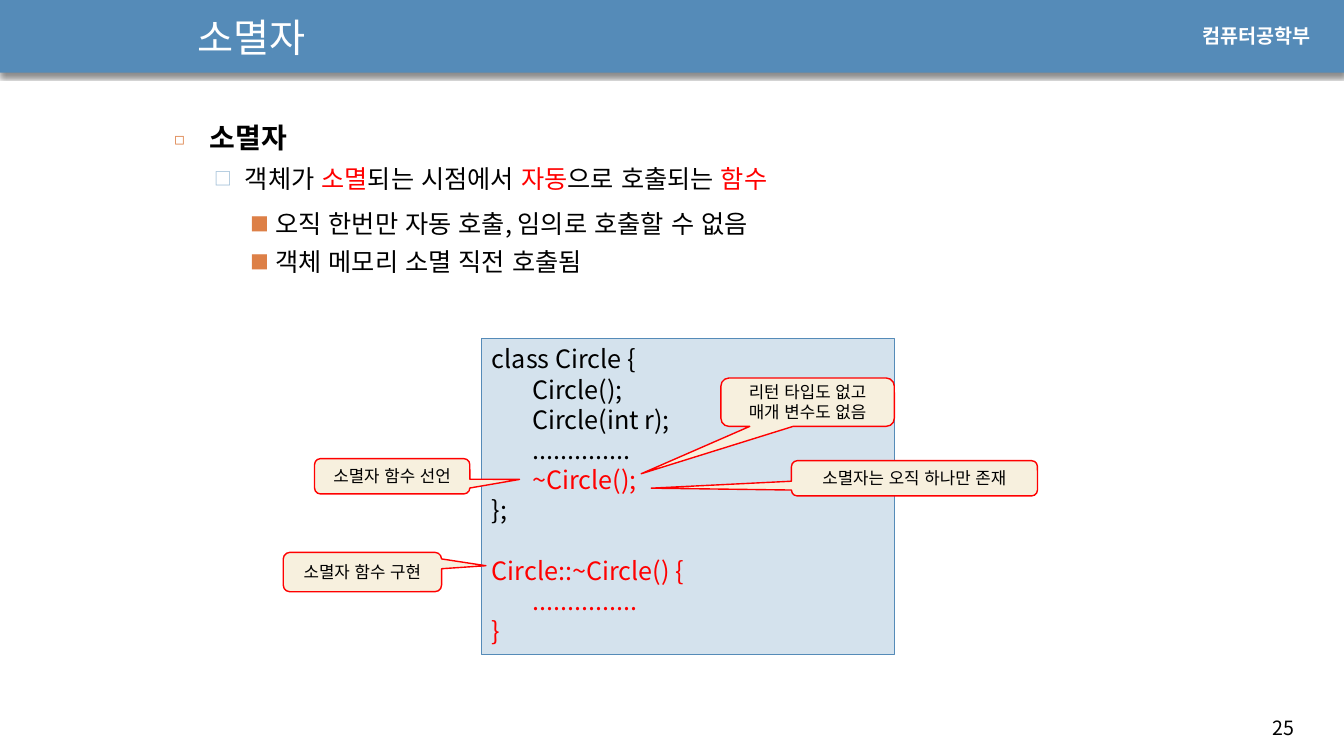
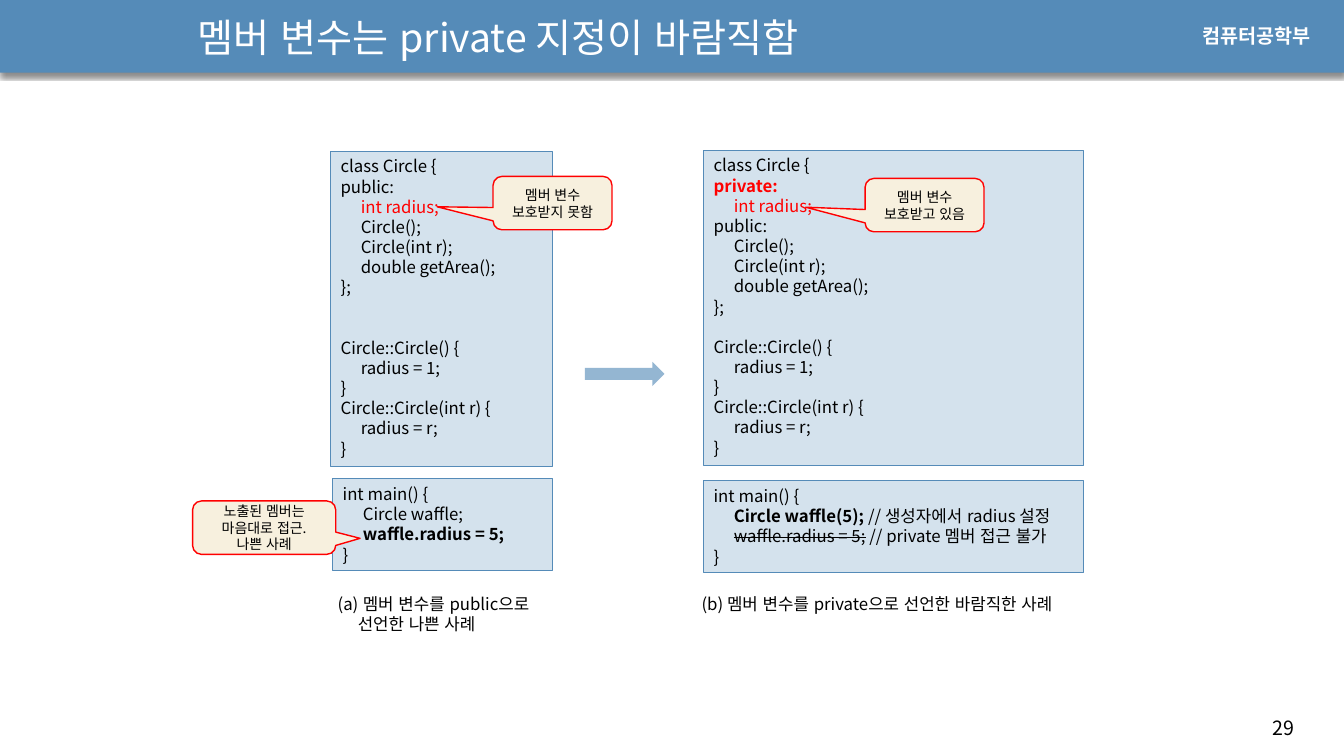
import dataclasses

import lxml.etree
import pptx
import pptx.dml.color
import pptx.enum.lang
import pptx.enum.shapes
import pptx.enum.text
import pptx.oxml.ns
import pptx.util

Inches = pptx.util.Inches
Pt = pptx.util.Pt
qn = pptx.oxml.ns.qn
SHAPE = pptx.enum.shapes.MSO_SHAPE
ALIGN = pptx.enum.text.PP_ALIGN
ANCHOR = pptx.enum.text.MSO_ANCHOR


@dataclasses.dataclass(frozen=True)
class Theme:
    font: str = "Noto Sans CJK KR"
    label_font: str = "Arial"
    band: str = "558BB8"
    code_fill: str = "D4E2ED"
    callout_fill: str = "F7F0DE"
    arrow: str = "94B6D2"
    bullet: str = "DD8047"
    red: str = "FF0000"
    black: str = "000000"
    white: str = "FFFFFF"
    title_size: int = 28
    heading_size: int = 20
    body_size: int = 18
    label_size: int = 14
    small_size: int = 12
    note_size: int = 10
    line_height: float = 1.2
    code_indent: float = 0.2


theme = Theme()
RED = {"color": theme.red}
BOLD = {"bold": True}


def add_text(paragraph, text, size, color=theme.black, bold=False, strike=False,
             font=theme.font, align=ALIGN.LEFT, before=0, after=0):
    """Append one formatted run and set the spacing of its paragraph."""
    paragraph.alignment = align
    paragraph.line_spacing = Pt(size * theme.line_height)
    paragraph.space_before = Pt(before)
    paragraph.space_after = Pt(after)
    run = paragraph.add_run()
    run.text = text
    run.font.size = Pt(size)
    run.font.bold = bold
    run.font.name = font
    run.font.language_id = pptx.enum.lang.MSO_LANGUAGE_ID.KOREAN
    run.font.color.rgb = pptx.dml.color.RGBColor.from_string(color)
    properties = run.font._element
    lxml.etree.SubElement(properties, qn("a:ea"), typeface=theme.font)
    if strike:
        properties.set("strike", "sngStrike")


def add_box(slide, kind, place, lines=(), size=theme.small_size, fill=None, line=None,
            line_width=0.75, anchor=ANCHOR.TOP, pointer=(), **text_format):
    """Add a shape with text. A line is a string or a list of (text, format) runs;
    leading tabs indent it and an empty line becomes space before the next one."""
    shape = slide.shapes.add_shape(kind, *map(Inches, place))
    shape.shadow.inherit = False
    for index, value in enumerate(pointer):
        shape.adjustments[index] = value
    if fill:
        shape.fill.solid()
        shape.fill.fore_color.rgb = pptx.dml.color.RGBColor.from_string(fill)
    else:
        shape.fill.background()
    if line:
        shape.line.color.rgb = pptx.dml.color.RGBColor.from_string(line)
        shape.line.width = Pt(line_width)
    else:
        shape.line.fill.background()
    frame = shape.text_frame
    frame.word_wrap = True
    frame.vertical_anchor = anchor
    gap = 0
    for index, content in enumerate(lines):
        if not content:
            gap += size * theme.line_height
            continue
        runs = [(content, {})] if isinstance(content, str) else content
        paragraph = frame.add_paragraph() if index else frame.paragraphs[0]
        first_text = runs[0][0]
        level = len(first_text) - len(first_text.lstrip("\t"))
        for text, run_format in runs:
            add_text(paragraph, text.lstrip("\t"), size, before=gap,
                     **{**text_format, **run_format})
        if level:
            indent = Inches(level * theme.code_indent)
            paragraph._p.get_or_add_pPr().set("marL", str(indent))
        gap = 0
    return shape


presentation = pptx.Presentation()
presentation.slide_width = Inches(13.33)
presentation.slide_height = Inches(7.5)
master = presentation.slide_master
layouts = presentation.slide_layouts

master_title = master.placeholders[0]
master_title.left, master_title.top = Inches(1.86), Inches(0.05)
master_title.width, master_title.height = Inches(7.4), Inches(0.63)

destructor_slide = presentation.slides.add_slide(layouts.get_by_name("Title and Content"))
private_slide = presentation.slides.add_slide(layouts.get_by_name("Title Only"))

# Band and department name, moved to the master
band = add_box(destructor_slide, SHAPE.RECTANGLE, (0, -0.01, 13.33, 0.73), fill=theme.band)
shadow = lxml.etree.SubElement(
    band.element.spPr.find(qn("a:effectLst")), qn("a:outerShdw"),
    blurRad=str(Pt(3)), dist=str(Pt(2.4)), dir="5400000", rotWithShape="0")
shadow_color = lxml.etree.SubElement(shadow, qn("a:srgbClr"), val=theme.black)
lxml.etree.SubElement(shadow_color, qn("a:alpha"), val="45000")
department = add_box(destructor_slide, SHAPE.RECTANGLE, (11.83, 0.19, 1.37, 0.34),
                     ["컴퓨터공학부"], theme.label_size, color=theme.white, bold=True,
                     font=theme.label_font)
master.shapes.element.insert(2, band.element)
master.shapes.element.append(department.element)

# Titles and page numbers
for slide, title, number in (
    (destructor_slide, "소멸자", "25"),
    (private_slide, "멤버 변수는 private 지정이 바람직함", "29"),
):
    title_frame = slide.shapes.title.text_frame
    title_frame.auto_size = pptx.enum.text.MSO_AUTO_SIZE.NONE
    title_frame.vertical_anchor = ANCHOR.MIDDLE
    add_text(title_frame.paragraphs[0], title, theme.title_size, color=theme.white)
    add_box(slide, SHAPE.RECTANGLE, (12.52, 7.05, 0.71, 0.34), [number], theme.label_size)

# Destructor slide: bullet list
body = destructor_slide.placeholders[1]
body.left, body.top, body.width, body.height = map(Inches, (1.63, 1.15, 11.1, 5.51))
body.text_frame.auto_size = pptx.enum.text.MSO_AUTO_SIZE.NONE
bullet_levels = (
    # margin, hanging indent, symbol, color, percent, text format
    (0.35, 0.35, "◻", theme.bullet, 60,
     {"size": theme.heading_size, "bold": True, "after": 6}),
    (0.7, 0.3, "□", theme.arrow, 70, {"size": theme.body_size, "after": 6}),
    (1, 0.25, "■", theme.bullet, 75, {"size": theme.body_size, "before": 5}),
)
bullet_lines = (
    (0, [("소멸자", {})]),
    (1, [("객체가 ", {}), ("소멸", RED), ("되는 시점에서 ", {}), ("자동", RED),
         ("으로 호출되는 ", {}), ("함수", RED)]),
    (2, [("오직 한번만 자동 호출, 임의로 호출할 수 없음", {})]),
    (2, [("객체 메모리 소멸 직전 호출됨", {})]),
)
for index, (level, runs) in enumerate(bullet_lines):
    margin, hanging, symbol, color, percent, level_format = bullet_levels[level]
    frame = body.text_frame
    paragraph = frame.add_paragraph() if index else frame.paragraphs[0]
    paragraph.level = level
    for text, run_format in runs:
        add_text(paragraph, text, **level_format, **run_format)
    properties = paragraph._p.get_or_add_pPr()
    properties.set("marL", str(Inches(margin)))
    properties.set("indent", str(-Inches(hanging)))
    bullet_color = lxml.etree.SubElement(properties, qn("a:buClr"))
    lxml.etree.SubElement(bullet_color, qn("a:srgbClr"), val=color)
    lxml.etree.SubElement(properties, qn("a:buSzPct"), val=str(percent * 1000))
    lxml.etree.SubElement(properties, qn("a:buFont"), typeface=theme.font)
    lxml.etree.SubElement(properties, qn("a:buChar"), char=symbol)

# Code boxes of both slides
constructors = [
    "Circle::Circle() {",
    "\tradius = 1;",
    "}",
    "Circle::Circle(int r) {",
    "\tradius = r;",
    "}",
]
declarations = ["\tCircle();", "\tCircle(int r);", "\tdouble getArea();", "};"]
code_boxes = (
    (destructor_slide, (4.78, 3.36, 4.09, 3.13), theme.body_size, [
        "class Circle {",
        "\t\tCircle();",
        "\t\tCircle(int r);",
        "\t\t..............",
        [("\t\t~Circle();", RED)],
        "};",
        "",
        [("Circle::~Circle() {", RED)],
        [("\t\t...............", RED)],
        [("}", RED)],
    ]),
    (private_slide, (3.28, 1.5, 2.2, 3.13), theme.small_size, [
        "class Circle {", "public:", [("\tint radius;", RED)],
        *declarations, "", "", *constructors,
    ]),
    (private_slide, (3.3, 4.75, 2.18, 0.91), theme.small_size, [
        "int main() {",
        "\tCircle waffle;",
        [("\twaffle.radius = 5;", BOLD)],
        "}",
    ]),
    (private_slide, (6.98, 1.49, 3.77, 3.13), theme.small_size, [
        "class Circle {", [("private:", {**RED, **BOLD})], [("\tint radius;", RED)],
        "public:", *declarations, "", *constructors,
    ]),
    (private_slide, (6.98, 4.77, 3.77, 0.91), theme.small_size, [
        "int main() {",
        [("\tCircle waffle(5); ", BOLD), ("// 생성자에서 radius 설정", {})],
        [("\twaffle.radius = 5;", {"strike": True}), (" // private 멤버 접근 불가", {})],
        "}",
    ]),
)
for slide, place, size, lines in code_boxes:
    add_box(slide, SHAPE.RECTANGLE, place, lines, size, theme.code_fill, theme.band)

# Callouts of both slides
callouts = (
    (destructor_slide, (7.15, 3.75, 1.72, 0.48), (-0.96, 1.48), theme.small_size,
     ["리턴 타입도 없고 매개 변수도 없음"]),
    (destructor_slide, (3.12, 4.55, 1.54, 0.35), (0.82, 0.09), theme.small_size,
     ["소멸자 함수 선언"]),
    (destructor_slide, (7.85, 4.57, 2.44, 0.35), (-1.07, 0.28), theme.small_size,
     ["소멸자는 오직 하나만 존재"]),
    (destructor_slide, (2.81, 5.48, 1.57, 0.39), (0.78, -0.16), theme.small_size,
     ["소멸자 함수 구현"]),
    (private_slide, (4.89, 1.75, 1.18, 0.53), (-0.97, 0.07), theme.note_size,
     ["멤버 변수", "보호받지 못함"]),
    (private_slide, (8.58, 1.77, 1.18, 0.53), (-1, 0.04), theme.note_size,
     ["멤버 변수", "보호받고 있음"]),
    (private_slide, (1.91, 4.97, 1.42, 0.53), (0.67, 0.2), theme.note_size,
     ["노출된 멤버는", "마음대로 접근.", "나쁜 사례"]),
)
for slide, place, pointer, size, lines in callouts:
    add_box(slide, SHAPE.ROUNDED_RECTANGULAR_CALLOUT, place, lines, size,
            theme.callout_fill, theme.red, 1, ANCHOR.MIDDLE, pointer, align=ALIGN.CENTER)

# Private slide: arrow and captions
add_box(private_slide, SHAPE.RIGHT_ARROW, (5.8, 3.59, 0.79, 0.24), fill=theme.arrow)
public_caption = add_box(private_slide, SHAPE.RECTANGLE, (3.25, 5.84, 2.28, 0.5),
                         ["멤버 변수를 public으로", "\t선언한 나쁜 사례"])
properties = public_caption.text_frame.paragraphs[0]._p.get_or_add_pPr()
properties.set("marL", str(Inches(0.25)))
properties.set("indent", str(-Inches(0.25)))
lxml.etree.SubElement(properties, qn("a:buFont"), typeface=theme.font)
lxml.etree.SubElement(properties, qn("a:buAutoNum"), type="alphaLcParenBoth")
add_box(private_slide, SHAPE.RECTANGLE, (6.86, 5.84, 4, 0.3),
        ["(b) 멤버 변수를 private으로 선언한 바람직한 사례"])

presentation.save("out.pptx")
